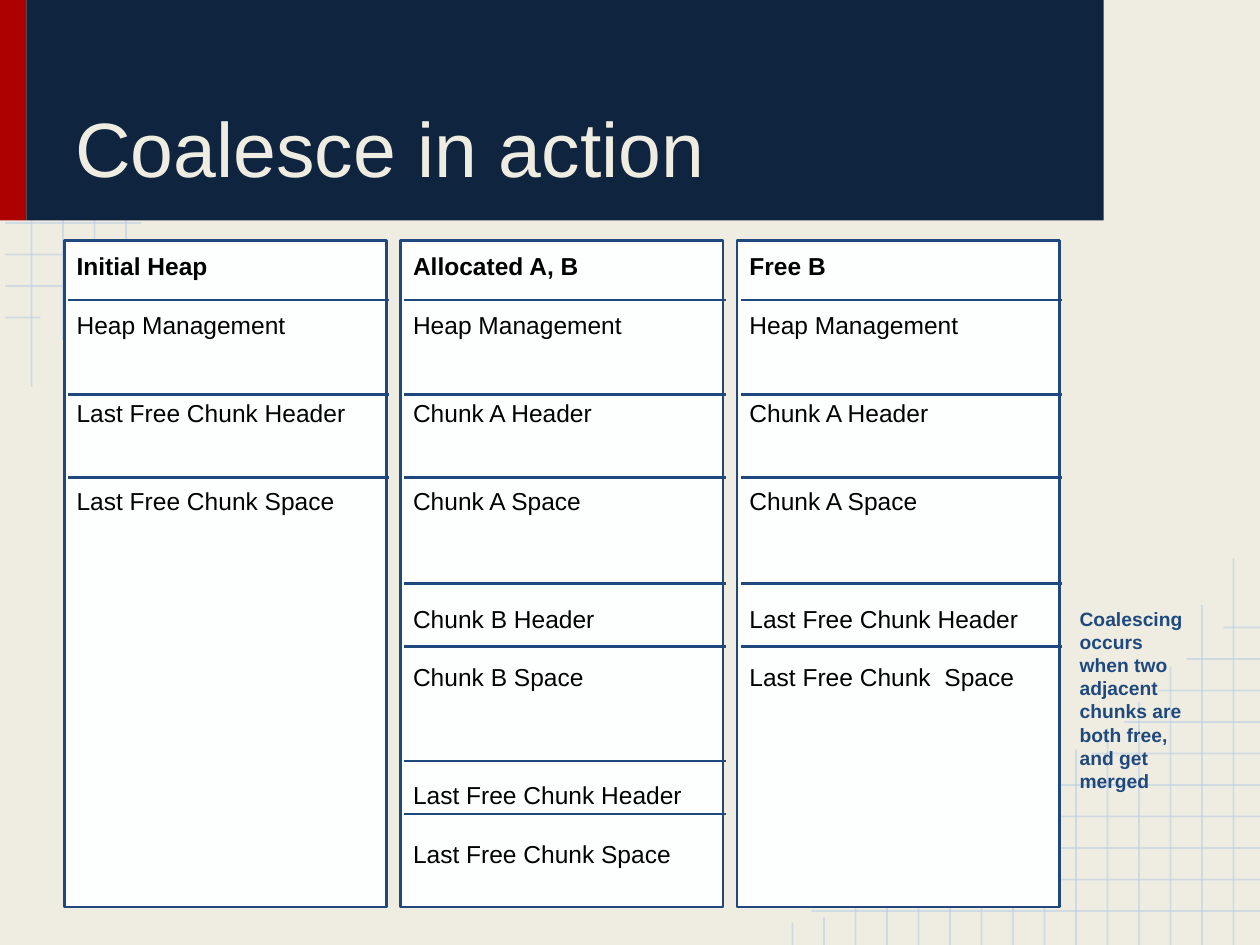
from lxml.etree import SubElement
from pptx import Presentation
from pptx.dml.color import RGBColor
from pptx.enum.shapes import MSO_CONNECTOR, MSO_SHAPE
from pptx.enum.text import MSO_ANCHOR, PP_ALIGN
from pptx.oxml.ns import qn
from pptx.util import Inches, Pt

COLORS = {
    "paper": "EFEDE2",
    "grid": "B7CCE4",
    "red": "AB0101",
    "navy": "0F243E",
    "blue": "1F497D",
    "cell": "FDFFFF",
    "black": "000000",
}
FONT = "Arial"
WIDTH, HEIGHT = 10, 7.5
GRID_STEP = 0.25
LINE_PITCH = 16.8
DIVIDERS = [0.47, 1.22, 1.88, 2.72, 3.22, 4.13, 4.55]
TEXT_LINES = [0, 2, 5, 8, 12, 14, 18, 20]
HEAPS = [
    ["Initial Heap", "Heap Management", "Last Free Chunk Header", "Last Free Chunk Space"],
    ["Allocated A, B", "Heap Management", "Chunk A Header", "Chunk A Space",
     "Chunk B Header", "Chunk B Space", "Last Free Chunk Header", "Last Free Chunk Space"],
    ["Free B", "Heap Management", "Chunk A Header", "Chunk A Space",
     "Last Free Chunk Header", "Last Free Chunk  Space"],
]


def color(name):
    """Return the named palette colour."""
    return RGBColor.from_string(COLORS[name])


def add_line(slide, start, end, name, width, opacity=None):
    """Draw a straight line between two points given in inches."""
    line = slide.shapes.add_connector(
        MSO_CONNECTOR.STRAIGHT, *(Inches(value) for value in (*start, *end)))
    line.line.color.rgb = color(name)
    line.line.width = Pt(width)
    properties = line._element.spPr
    if opacity:
        fill = properties.find(".//" + qn("a:srgbClr"))
        SubElement(fill, qn("a:alpha")).set("val", str(opacity * 1000))
    SubElement(properties, qn("a:effectLst"))


def add_rectangle(slide, box, fill, outline=None):
    """Draw a filled rectangle, with an outline if one is named."""
    shape = slide.shapes.add_shape(MSO_SHAPE.RECTANGLE, *(Inches(value) for value in box))
    shape.shadow.inherit = False
    shape.fill.solid()
    shape.fill.fore_color.rgb = color(fill)
    if outline:
        shape.line.color.rgb = color(outline)
        shape.line.width = Pt(1.5)
    else:
        shape.line.fill.background()
    return shape


def write(shape, texts, size, name, anchor=MSO_ANCHOR.TOP, inset=0.1):
    """Write one paragraph for each text and return the paragraphs."""
    frame = shape.text_frame
    frame.word_wrap = True
    frame.vertical_anchor = anchor
    frame.margin_left = frame.margin_right = Inches(0.1)
    frame.margin_top = frame.margin_bottom = Inches(inset)
    frame.text = "\n".join(texts)
    for paragraph in frame.paragraphs:
        paragraph.alignment = PP_ALIGN.LEFT
        font = paragraph.runs[0].font
        font.name, font.size = FONT, Pt(size)
        font.color.rgb = color(name)
    return frame.paragraphs


def add_grid(slide, corner, direction, edge, row_ends, column_ends):
    """Draw grid lines from the slide edges, stepping away from a corner."""
    left, top = corner
    for index, end in enumerate(row_ends):
        y = top + index * GRID_STEP
        add_line(slide, (edge[0], y), (end, y), "grid", 1, 54)
    for index, end in enumerate(column_ends):
        x = left + direction * index * GRID_STEP
        add_line(slide, (x, end), (x, edge[1]), "grid", 1, 54)


def add_header(slide, box, title):
    """Draw the title band with its red edge and the title."""
    left, top, width, height = box
    edge = 0.21
    add_rectangle(slide, (left, top, edge, height), "red")
    add_rectangle(slide, (left + edge, top, width - edge, height), "navy")
    title_box = slide.shapes.add_textbox(
        Inches(left + 0.5), Inches(top + 0.16), Inches(8), Inches(1.48))
    write(title_box, [title], 44, "paper", MSO_ANCHOR.BOTTOM)


def add_heap(slide, box, labels):
    """Draw one heap column with its labels and dividers."""
    left, top, width, height = box
    shape = add_rectangle(slide, box, "cell", "blue")
    paragraphs = write(shape, labels, 14, "black", inset=0.08)
    previous = -1
    for paragraph, line in zip(paragraphs, TEXT_LINES):
        paragraph.line_spacing = Pt(LINE_PITCH)
        paragraph.space_before = Pt((line - previous - 1) * LINE_PITCH)
        previous = line
    paragraphs[0].runs[0].font.bold = True
    for offset in DIVIDERS[:len(labels) - 1]:
        y = top + offset
        add_line(slide, (left + 0.03, y), (left + width + 0.02, y), "blue", 1.5)


def add_note(slide, box, text):
    """Write the bold side note."""
    shape = slide.shapes.add_textbox(*(Inches(value) for value in box))
    paragraph = write(shape, [text], 11, "blue")[0]
    paragraph.line_spacing = Pt(13.2)
    paragraph.runs[0].font.bold = True


def build():
    """Build and save the slide."""
    presentation = Presentation()
    presentation.slide_width, presentation.slide_height = Inches(WIDTH), Inches(HEIGHT)
    slide = presentation.slides.add_slide(presentation.slide_layouts[6])
    slide.background.fill.solid()
    slide.background.fill.fore_color.rgb = color("paper")

    add_grid(slide, (0.25, 1.77), 1, (0.04, 0),
             [1.12, 0.85, 0.62, 0.32], [3.07, 2.7, 2.21, 1.93])
    add_grid(slide, (9.79, 4.98), -1, (WIDTH, HEIGHT),
             [9.71, 9.42, 9.19, 8.92, 8.67, 8.37, 7.96, 7.63, 7.08, 6.44],
             [4.43, 4.8, 5.29, 5.57, 5.78, 5.95, 6.19, 6.35,
              6.54, 6.68, 6.86, 7.07, 7.18, 7.28, 7.32])
    add_header(slide, (0, -0.01, 8.76, 1.76), "Coalesce in action")
    add_note(slide, (8.47, 4.72, 1.03, 2.44),
             "Coalescing occurs when two adjacent chunks are both free, and get merged")
    for index, labels in enumerate(HEAPS):
        add_heap(slide, (0.51 + index * 2.67, 1.91, 2.56, 5.29), labels)
    presentation.save("out.pptx")


build()
